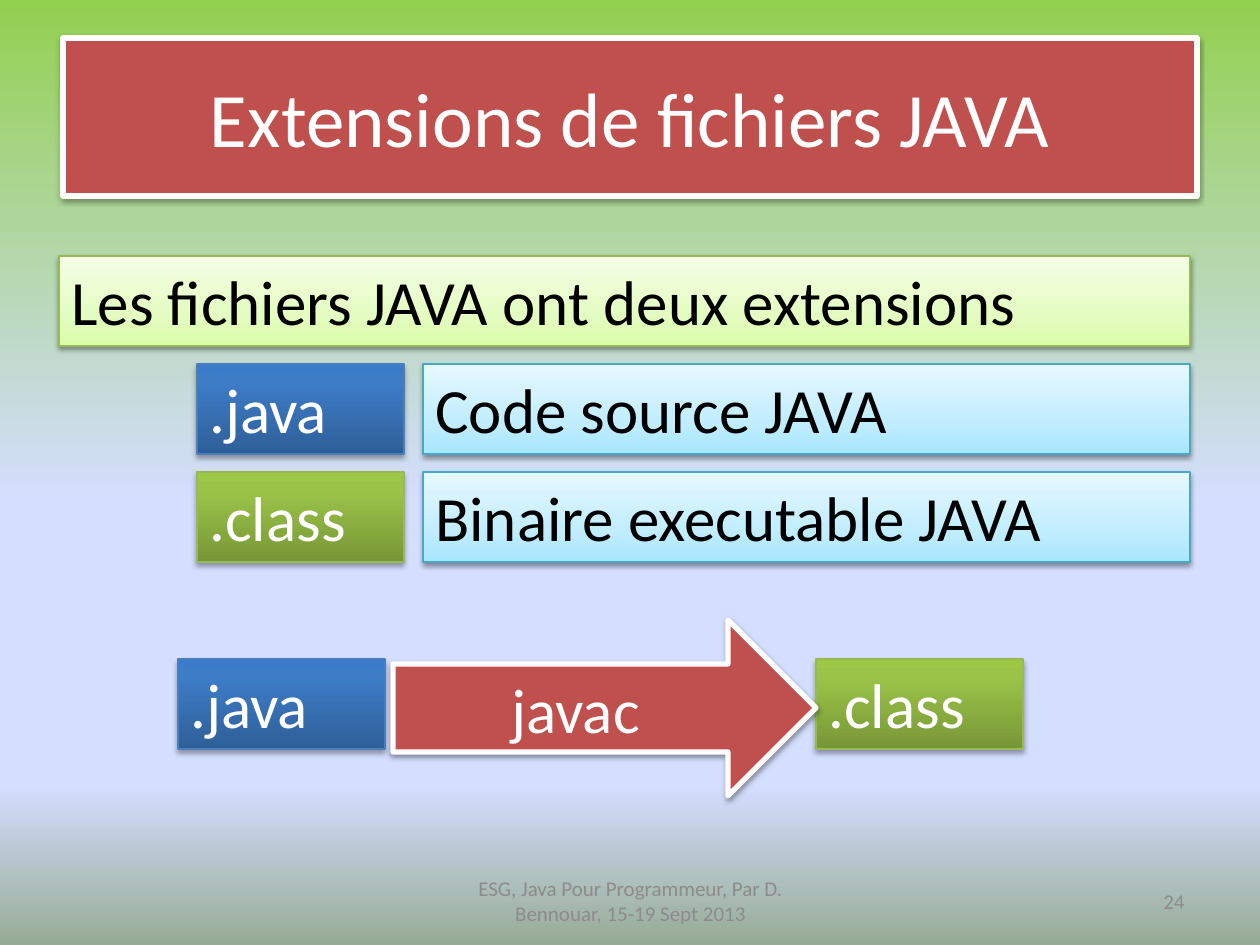
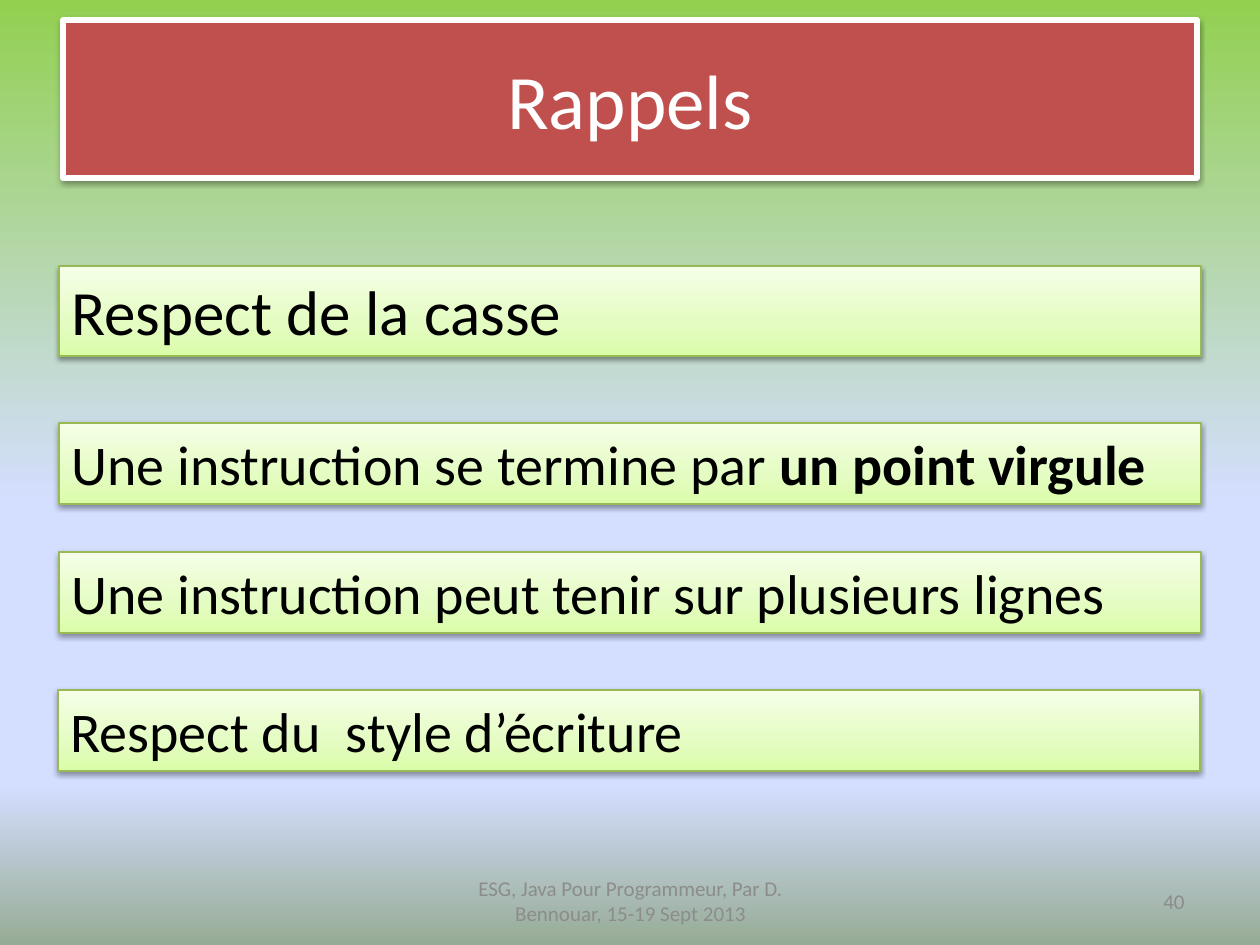
import dataclasses
import typing

import lxml.etree
import pptx
import pptx.dml.color
import pptx.enum.shapes
import pptx.enum.text
import pptx.oxml.ns
import pptx.util

EMU_PER_PX = 914400 / 126
ALIGN = pptx.enum.text.PP_ALIGN
ANCHOR = pptx.enum.text.MSO_ANCHOR
SHAPE = pptx.enum.shapes.MSO_SHAPE
qn = pptx.oxml.ns.qn

Stops = tuple[tuple[int, str], ...]
Runs = tuple[tuple[str, bool], ...]


class Box(typing.NamedTuple):
    left: int
    top: int
    width: int
    height: int


@dataclasses.dataclass(frozen=True)
class Shadow:
    opacity: int
    blur: float
    distance: float


SOFT = Shadow(38, 3.1, 1.6)
DEEP = Shadow(35, 3.1, 1.8)


@dataclasses.dataclass(frozen=True)
class Look:
    fill: str | Stops
    line: str
    text: str
    line_width: float = 0.75
    shadow: Shadow = SOFT


@dataclasses.dataclass(frozen=True)
class Theme:
    font: str = "Calibri"
    title_size: int = 44
    large_size: int = 36
    medium_size: int = 32
    footer_size: int = 12
    footer_color: str = "8C8C8C"
    shadow_color: str = "000000"
    backdrop: Stops = ((0, "92D050"), (53, "D4DEFF"), (83, "D4DEFF"), (100, "96AB94"))
    accent: Look = Look("C0504D", "FFFFFF", "FFFFFF", line_width=3)
    statement: Look = Look(((0, "DAFDA7"), (35, "E4FCC2"), (100, "F5FFE7")), "98B955", "000000")
    meaning: Look = Look(((0, "A7E6FF"), (35, "C1EDFF"), (100, "E7F8FF")), "46AAC5", "000000")
    source: Look = Look(((0, "2F5F99"), (80, "3D7CC7"), (100, "3A7CCB")), "4B7EBC", "FFFFFF", shadow=DEEP)
    binary: Look = Look(((0, "779737"), (80, "9BC348"), (100, "9DC746")), "98B955", "FFFFFF", shadow=DEEP)


THEME = Theme()


@dataclasses.dataclass(frozen=True)
class Panel:
    box: Box
    text: str | Runs
    look: Look
    size: int = THEME.large_size
    shape: SHAPE = SHAPE.RECTANGLE
    align: ALIGN = ALIGN.LEFT


def px(length: int) -> int:
    return round(length * EMU_PER_PX)


def rgb(color: str) -> pptx.dml.color.RGBColor:
    return pptx.dml.color.RGBColor.from_string(color)


def add_child(parent, tag: str, **attributes):
    child = lxml.etree.SubElement(parent, qn(tag))
    for key, value in attributes.items():
        child.set(key, str(value))
    return child


def set_gradient(properties, stops: Stops, angle: int) -> None:
    gradient = lxml.etree.Element(qn("a:gradFill"), rotWithShape="1")
    stop_list = add_child(gradient, "a:gsLst")
    for position, color in stops:
        stop = add_child(stop_list, "a:gs", pos=position * 1000)
        add_child(stop, "a:srgbClr", val=color)
    add_child(gradient, "a:lin", ang=angle * 60000, scaled=0)
    properties.replace(properties.find(qn("a:solidFill")), gradient)


def set_shadow(shape, shadow: Shadow) -> None:
    shape.shadow.inherit = False
    effects = shape._element.spPr.find(qn("a:effectLst"))
    outer = add_child(
        effects, "a:outerShdw", blurRad=pptx.util.Pt(shadow.blur),
        dist=pptx.util.Pt(shadow.distance), dir=90 * 60000, rotWithShape=0,
    )
    color = add_child(outer, "a:srgbClr", val=THEME.shadow_color)
    add_child(color, "a:alpha", val=shadow.opacity * 1000)


def apply_look(shape, look: Look) -> None:
    shape.fill.solid()
    if isinstance(look.fill, str):
        shape.fill.fore_color.rgb = rgb(look.fill)
    else:
        set_gradient(shape._element.spPr, look.fill, 270)
    shape.line.color.rgb = rgb(look.line)
    shape.line.width = pptx.util.Pt(look.line_width)
    set_shadow(shape, look.shadow)


def write_text(shape, text: str | Runs, *, size: int, color: str,
               align: ALIGN = ALIGN.LEFT, anchor: ANCHOR = ANCHOR.TOP) -> None:
    frame = shape.text_frame
    frame.word_wrap = True
    frame.auto_size = pptx.enum.text.MSO_AUTO_SIZE.NONE
    frame.vertical_anchor = anchor
    paragraph = frame.paragraphs[0]
    paragraph.alignment = align
    for words, bold in ((text, False),) if isinstance(text, str) else text:
        run = paragraph.add_run()
        run.text = words
        run.font.name = THEME.font
        run.font.size = pptx.util.Pt(size)
        run.font.bold = bold
        run.font.color.rgb = rgb(color)


def draw_title(slide, text: str, top: int) -> None:
    title = slide.shapes.title
    title.left, title.top, title.width, title.height = map(px, Box(63, top, 1134, 158))
    apply_look(title, THEME.accent)
    write_text(title, text, size=THEME.title_size, color=THEME.accent.text,
               align=ALIGN.CENTER, anchor=ANCHOR.MIDDLE)


def draw_panel(slide, panel: Panel) -> None:
    shape = slide.shapes.add_shape(panel.shape, *map(px, panel.box))
    apply_look(shape, panel.look)
    write_text(shape, panel.text, size=panel.size, color=panel.look.text, align=panel.align)


def draw_footer(slide, number: int) -> None:
    course = "ESG, Java Pour Programmeur, Par D. Bennouar, 15-19 Sept 2013"
    for box, text, align in (
        (Box(431, 876, 399, 50), course, ALIGN.CENTER),
        (Box(903, 876, 294, 50), str(number), ALIGN.RIGHT),
    ):
        write_text(slide.shapes.add_textbox(*map(px, box)), text, size=THEME.footer_size,
                   color=THEME.footer_color, align=align, anchor=ANCHOR.MIDDLE)


def build_slide(deck, title: str, title_top: int, panels: list[Panel], number: int) -> None:
    slide = deck.slides.add_slide(deck.slide_layouts.get_by_name("Title Only"))
    draw_title(slide, title, title_top)
    for panel in panels:
        draw_panel(slide, panel)
    draw_footer(slide, number)


def extension_panels() -> list[Panel]:
    height, tag_width, pitch = 90, 207, 108
    extensions = (
        (".java", "Code source JAVA", THEME.source, 178),
        (".class", "Binaire executable JAVA", THEME.binary, 816),
    )
    panels = [Panel(Box(59, 256, 1131, height), "Les fichiers JAVA ont deux extensions", THEME.statement)]
    for row, (extension, meaning, look, _) in enumerate(extensions, start=1):
        top = 256 + row * pitch
        panels.append(Panel(Box(197, top, tag_width, height), extension, look))
        panels.append(Panel(Box(423, top, 767, height), meaning, THEME.meaning))
    for extension, _, look, left in extensions:
        panels.append(Panel(Box(left, 659, tag_width, height), extension, look))
    panels.append(Panel(Box(393, 620, 423, 176), "javac ", THEME.accent,
                        shape=SHAPE.RIGHT_ARROW, align=ALIGN.CENTER))
    return panels


def reminder_panels() -> list[Panel]:
    semicolon = (("Une instruction se termine par ", False), ("un point virgule", True))
    reminders = (
        (59, 266, 90, "Respect de la casse", THEME.large_size),
        (59, 423, 81, semicolon, THEME.medium_size),
        (59, 552, 81, "Une instruction peut tenir sur plusieurs lignes", THEME.medium_size),
        (58, 690, 81, "Respect du  style d’écriture", THEME.medium_size),
    )
    return [Panel(Box(left, top, 1142, height), text, THEME.statement, size)
            for left, top, height, text, size in reminders]


def main() -> None:
    deck = pptx.Presentation()
    deck.slide_width, deck.slide_height = px(1260), px(945)
    master = deck.slide_master
    master.background.fill.solid()
    master.background.fill.fore_color.rgb = rgb(THEME.backdrop[0][1])
    set_gradient(next(master._element.iter(qn("p:bgPr"))), THEME.backdrop, 90)
    build_slide(deck, "Extensions de fichiers JAVA", 38, extension_panels(), 24)
    build_slide(deck, "Rappels", 20, reminder_panels(), 40)
    deck.save("out.pptx")


if __name__ == "__main__":
    main()
